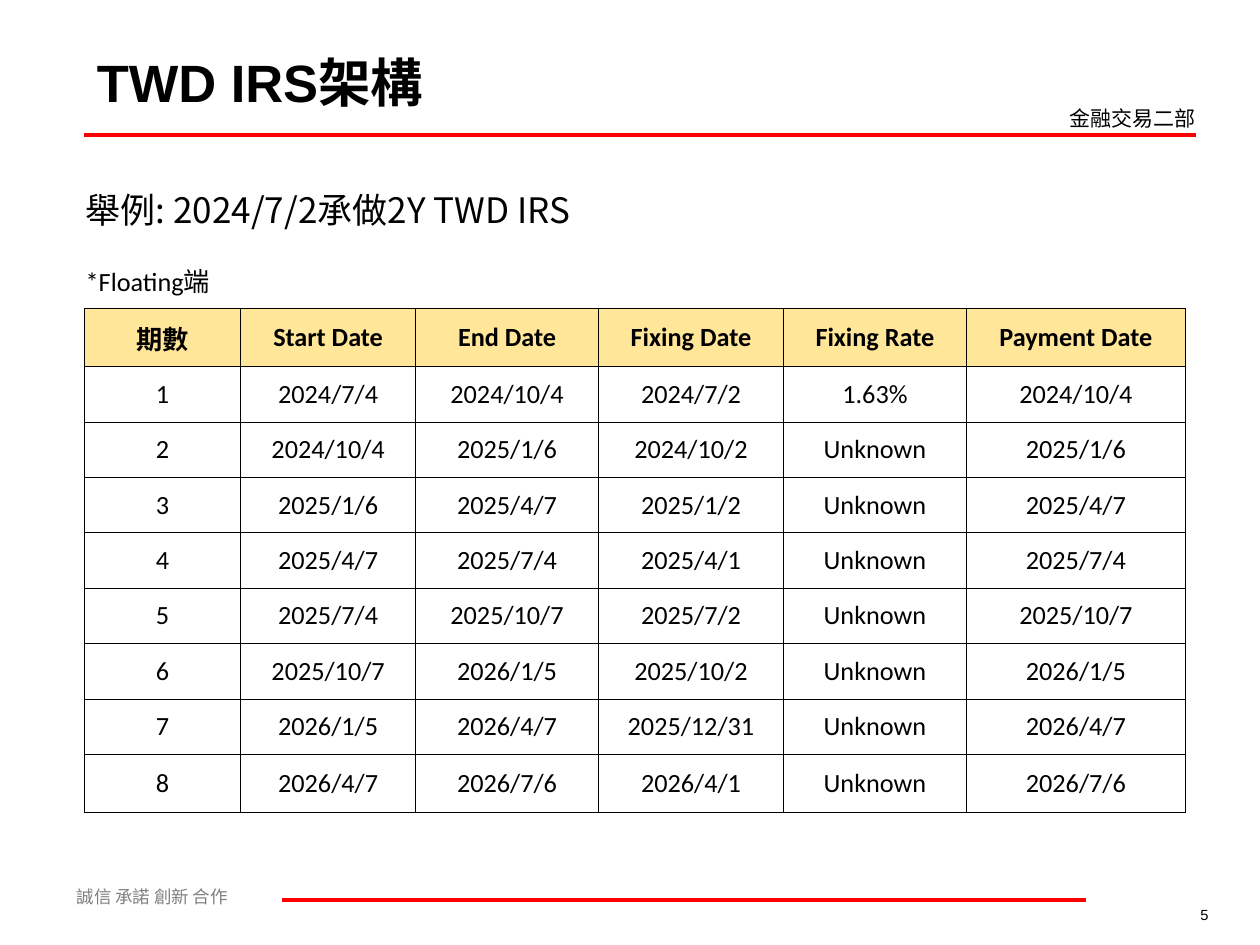
import pptx
import pptx.util
import pptx.dml.color
import pptx.enum.shapes
import pptx.enum.text
import pptx.oxml.ns
import lxml.etree

Inches = pptx.util.Inches
Pt = pptx.util.Pt
qn = pptx.oxml.ns.qn
ALIGN = pptx.enum.text.PP_ALIGN
MIDDLE = pptx.enum.text.MSO_ANCHOR.MIDDLE
SANS = "Noto Sans CJK SC"
PLAIN = "{2D5ABB26-0587-4C30-8999-92F81FD0307C}"

WIDTHS = [1.24, 1.39, 1.45, 1.47, 1.45, 1.74]
HEIGHTS = [0.68, 0.46, 0.46] + [0.44] * 7 + [0.46]
HEADS = ["期數", "Start Date", "End Date", "Fixing Date", "Fixing Rate",
         "Payment Date"]
DATES = ["2024/7/4", "2024/10/4", "2025/1/6", "2025/4/7", "2025/7/4",
         "2025/10/7", "2026/1/5", "2026/4/7", "2026/7/6"]
FIXINGS = ["2024/7/2", "2024/10/2", "2025/1/2", "2025/4/1", "2025/7/2",
           "2025/10/2", "2025/12/31", "2026/4/1"]
RATES = ["1.63%"] + ["Unknown"] * 7


def color(code):
    return pptx.dml.color.RGBColor.from_string(code)


def write(frame, text, size, face, asian=SANS, tint="000000", bold=False,
          align=ALIGN.LEFT):
    para = frame.paragraphs[0]
    para.text = text
    para.alignment = align
    font = para.font
    font.size, font.name, font.bold = Pt(size), face, bold
    font.color.rgb = color(tint)
    props = para._p.pPr.find(qn("a:defRPr"))
    lxml.etree.SubElement(props, qn("a:ea"), typeface=asian)
    return para


def label(slide, box, text, size, face, **style):
    frame = slide.shapes.add_textbox(*map(Inches, box)).text_frame
    frame.word_wrap = True
    return frame, write(frame, text, size, face, **style)


def rule(slide, left, right, y):
    line = slide.shapes.add_connector(
        pptx.enum.shapes.MSO_CONNECTOR.STRAIGHT,
        Inches(left), Inches(y), Inches(right), Inches(y))
    line.line.color.rgb = color("FF0000")
    line.line.width = Pt(2.25)
    lxml.etree.SubElement(line._element.spPr, qn("a:effectLst"))


def border(cell, sides):
    """Draw thin black edges; sides holds letters in the order L, R, T, B."""
    props = cell._tc.get_or_add_tcPr()
    for side in sides:
        edge = lxml.etree.SubElement(props, qn("a:ln" + side),
                                     w=str(Pt(0.45)))
        fill = lxml.etree.SubElement(edge, qn("a:solidFill"))
        lxml.etree.SubElement(fill, qn("a:srgbClr"), val="000000")


def header(slide, left, top, width):
    frame, _ = label(slide, (left, top, 7.32, 0.69), "TWD IRS架構", 30,
                     "Arial", bold=True)
    frame.vertical_anchor = MIDDLE
    _, unit = label(slide, (left + width - 1.1, top + 0.49, 1.26, 0.3),
                    "金融交易二部", 12, SANS)
    unit.space_before = Pt(7.5)
    rule(slide, left, left + width, top + 0.77)


def footer(slide, left, top):
    _, motto = label(slide, (left, top, 2.52, 0.27), "誠信 承諾 創新 合作",
                     10, SANS, tint="808080")
    motto.space_before = Pt(6.2)
    rule(slide, left + 1.73, left + 8.11, top + 0.16)
    label(slide, (left + 7.8, top + 0.16, 1.38, 0.24), "5", 8.4, "Arial",
          align=ALIGN.RIGHT)


def schedule(slide, left, top):
    shape = slide.shapes.add_table(
        len(HEIGHTS), len(WIDTHS), Inches(left), Inches(top),
        Inches(sum(WIDTHS)), Inches(sum(HEIGHTS)))
    table = shape.table
    table.first_row = table.horz_banding = False
    table._tbl.tblPr.find(qn("a:tableStyleId")).text = PLAIN
    for column, width in zip(table.columns, WIDTHS):
        column.width = Inches(width)
    for row, height in zip(table.rows, HEIGHTS):
        row.height = Inches(height)

    terms = zip(DATES, DATES[1:], FIXINGS, RATES)
    body = [[str(n), start, end, fixing, rate, end]
            for n, (start, end, fixing, rate) in enumerate(terms, 1)]
    blank = [""] * 5
    rows = [["舉例: 2024/7/2承做2Y TWD IRS"] + blank,
            ["*Floating端"] + blank, HEADS] + body
    table.cell(0, 0).merge(table.cell(0, 2))
    for r, texts in enumerate(rows):
        for c, text in enumerate(texts):
            cell = table.cell(r, c)
            cell.vertical_anchor = MIDDLE
            cell.margin_left = cell.margin_right = Inches(0.01)
            border(cell, {0: "", 1: "B"}.get(r, "LRTB"))
            if r == 2:
                cell.fill.solid()
                cell.fill.fore_color.rgb = color("FFE699")
            else:
                cell.fill.background()
            if text:
                write(cell.text_frame, text, 20 if r == 0 else 15,
                      "Noto Sans CJK TC" if r == 0 else "Calibri",
                      asian="Noto Sans CJK TC", bold=r == 2,
                      align=ALIGN.CENTER if r > 1 else ALIGN.LEFT)


def main():
    deck = pptx.Presentation()
    deck.slide_width, deck.slide_height = Inches(10), Inches(7.5)
    slide = deck.slides.add_slide(deck.slide_layouts[6])
    footer(slide, 0.51, 6.98)
    schedule(slide, 0.67, 1.31)
    header(slide, 0.67, 0.3, 8.82)
    deck.save("out.pptx")


if __name__ == "__main__":
    main()
